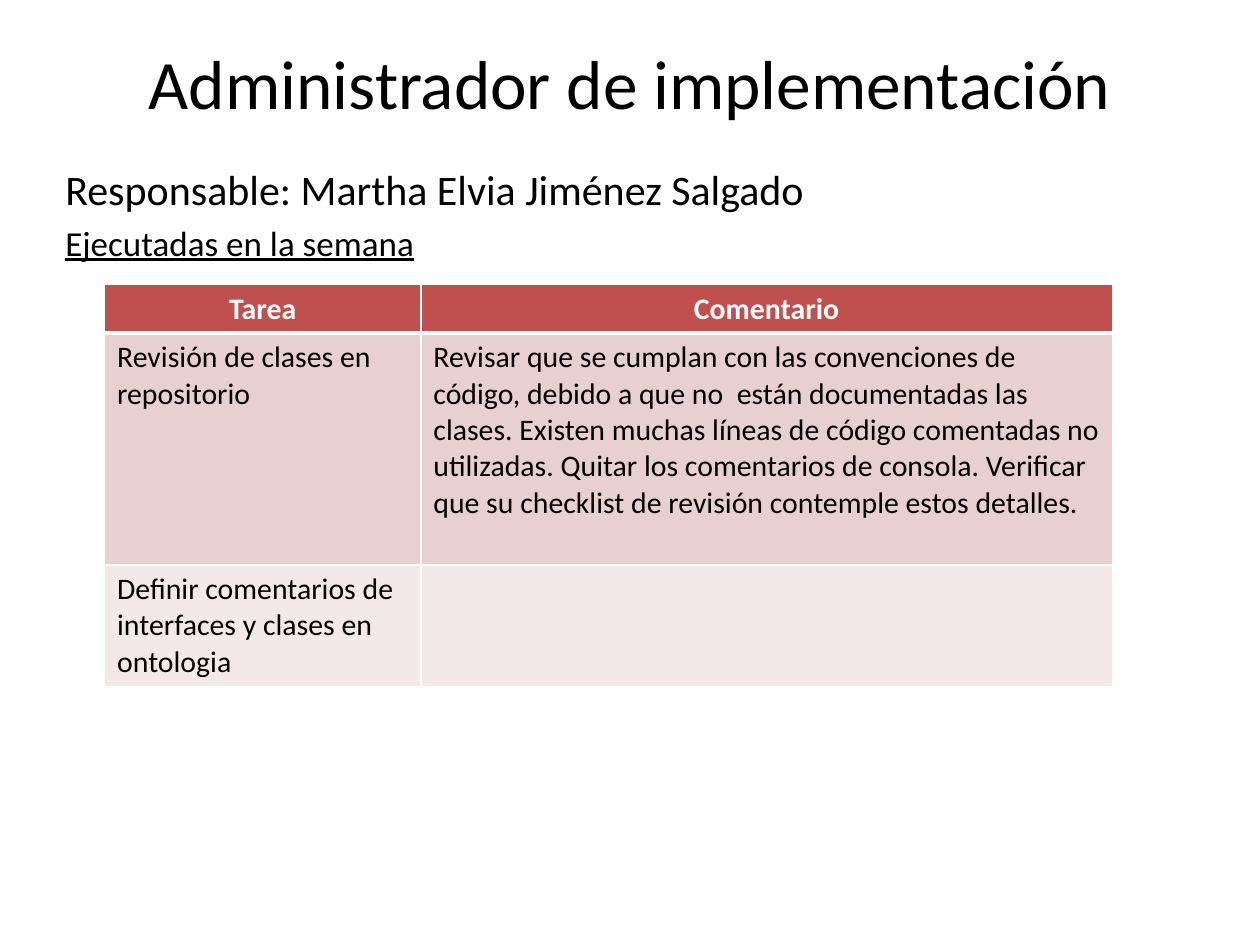
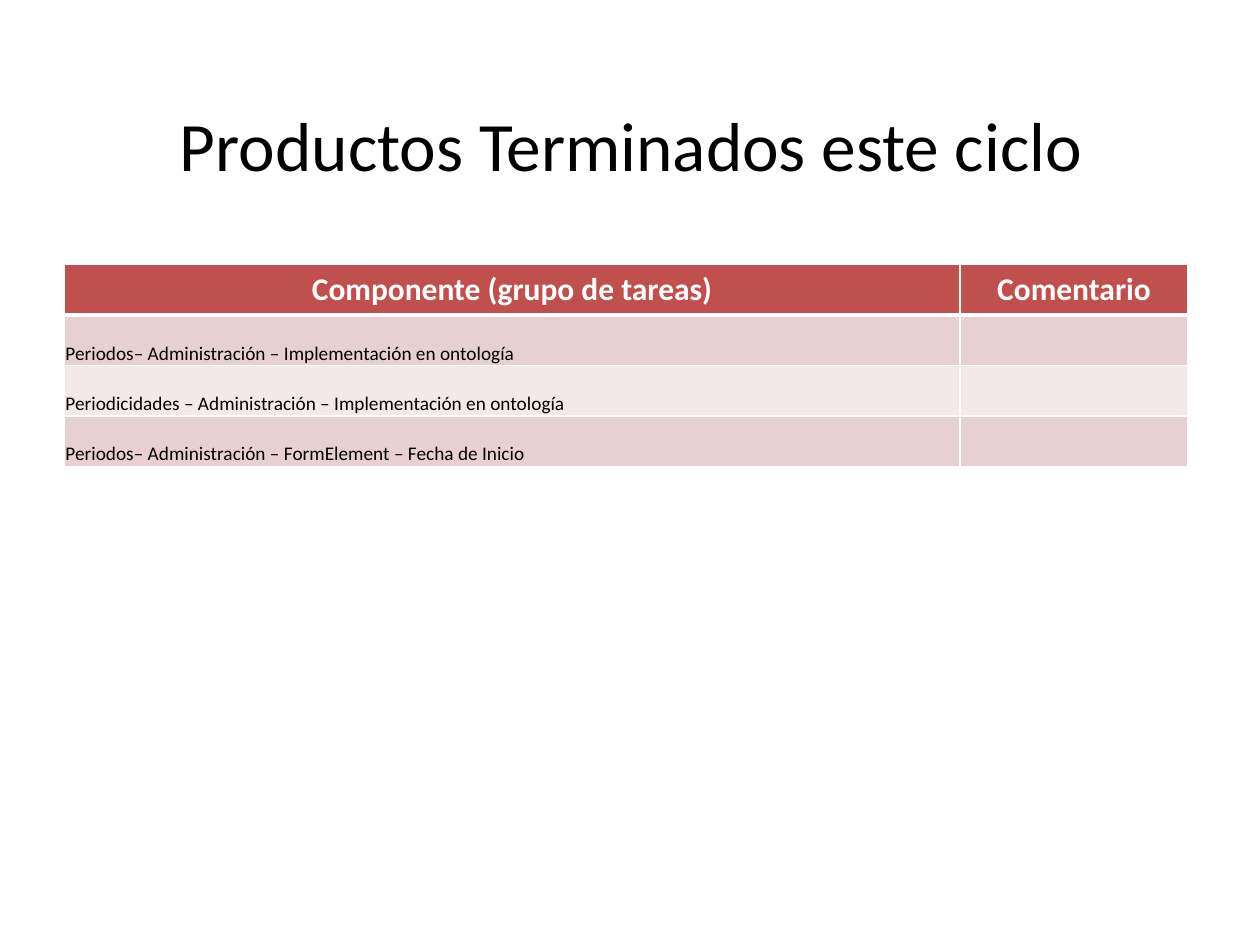
from dataclasses import dataclass

from lxml import etree
from pptx import Presentation
from pptx.dml.color import RGBColor
from pptx.enum.text import MSO_ANCHOR, PP_ALIGN
from pptx.oxml.ns import qn
from pptx.util import Inches, Pt

CENTER, LEFT = PP_ALIGN.CENTER, PP_ALIGN.LEFT
TOP, MIDDLE, BOTTOM = MSO_ANCHOR.TOP, MSO_ANCHOR.MIDDLE, MSO_ANCHOR.BOTTOM


@dataclass(frozen=True)
class Theme:
    font: str = "Calibri"
    text: str = "000000"
    white: str = "FFFFFF"
    header: str = "C0504D"
    bands: tuple[str, str] = ("E8D0D0", "F4E9E9")
    title_size: float = 39.6
    owner_size: float = 24
    section_size: float = 20
    border: float = 1
    header_border: float = 3


@dataclass(frozen=True)
class Box:
    left: float
    top: float
    width: float
    height: float

    def lengths(self) -> list:
        return [Inches(v) for v in (self.left, self.top, self.width, self.height)]


@dataclass(frozen=True)
class TableSpec:
    left: float
    top: float
    col_widths: tuple[float, ...]
    row_heights: tuple[float, ...]
    rows: tuple[tuple[str, ...], ...]
    header_size: float
    body_size: float
    tight_first_column: bool = False


THEME = Theme()

TASKS = TableSpec(
    0.83, 2.26, (2.51, 5.49), (0.38, 1.84, 0.97),
    (
        ("Tarea", "Comentario"),
        ("Revisión de clases en repositorio",
         "Revisar que se cumplan con las convenciones de código, debido a que no  están "
         "documentadas las clases. Existen muchas líneas de código comentadas no utilizadas. "
         "Quitar los comentarios de consola. Verificar que su checklist de revisión "
         "contemple estos detalles."),
        ("Definir comentarios de interfaces y clases en ontologia", ""),
    ),
    header_size=17, body_size=17,
)

PRODUCTS = TableSpec(
    0.51, 2.1, (7.11, 1.81), (0.4,) * 4,
    (
        ("Componente (grupo de tareas)", "Comentario"),
        ("Periodos– Administración – Implementación en ontología", ""),
        ("Periodicidades – Administración – Implementación en ontología", ""),
        ("Periodos– Administración – FormElement – Fecha de Inicio", ""),
    ),
    header_size=18, body_size=11, tight_first_column=True,
)


def style_paragraph(p, size: float, color: str = THEME.text, bold: bool = False,
                    align=LEFT) -> None:
    p.alignment = align
    p.font.name = THEME.font
    p.font.size = Pt(size)
    p.font.bold = bold
    p.font.color.rgb = RGBColor.from_string(color)


def add_text_frame(s, box: Box, anchor=TOP):
    tf = s.shapes.add_textbox(*box.lengths()).text_frame
    tf.word_wrap = True
    tf.vertical_anchor = anchor
    return tf


def add_title(s, text: str, box: Box) -> None:
    p = add_text_frame(s, box, MIDDLE).paragraphs[0]
    p.text = text
    style_paragraph(p, THEME.title_size, align=CENTER)


def add_owner(s, owner: str, section: str, box: Box) -> None:
    tf = add_text_frame(s, box)
    lines = ((owner, THEME.owner_size, False), (section, THEME.section_size, True))
    for i, (text, size, underline) in enumerate(lines):
        p = tf.add_paragraph() if i else tf.paragraphs[0]
        p.text = text
        p.space_before = Pt(size * 0.2)
        style_paragraph(p, size)
        p.font.underline = underline


def set_borders(cell, row: int) -> None:
    tc_pr = cell._tc.get_or_add_tcPr()
    thick_side = {0: "lnB", 1: "lnT"}.get(row)
    for side in ("lnL", "lnR", "lnT", "lnB"):
        width = THEME.header_border if side == thick_side else THEME.border
        ln = etree.SubElement(tc_pr, qn(f"a:{side}"), w=str(Pt(width)))
        fill = etree.SubElement(ln, qn("a:solidFill"))
        etree.SubElement(fill, qn("a:srgbClr"), val=THEME.white)


def fill_cell(cell, text: str, row: int, spec: TableSpec) -> None:
    is_header = row == 0
    set_borders(cell, row)
    color = THEME.header if is_header else THEME.bands[(row - 1) % 2]
    cell.fill.solid()
    cell.fill.fore_color.rgb = RGBColor.from_string(color)
    p = cell.text_frame.paragraphs[0]
    p.text = text
    if is_header:
        style_paragraph(p, spec.header_size, THEME.white, True, CENTER)
    else:
        style_paragraph(p, spec.body_size)


def tighten(cell) -> None:
    cell.vertical_anchor = BOTTOM
    cell.margin_left = cell.margin_top = cell.margin_right = Inches(0.01)
    cell.margin_bottom = 0


def add_styled_table(s, spec: TableSpec) -> None:
    box = Box(spec.left, spec.top, sum(spec.col_widths), sum(spec.row_heights))
    table = s.shapes.add_table(len(spec.rows), len(spec.col_widths), *box.lengths()).table
    for column, width in zip(table.columns, spec.col_widths):
        column.width = Inches(width)
    for row, (height, texts) in enumerate(zip(spec.row_heights, spec.rows)):
        table.rows[row].height = Inches(height)
        for col, text in enumerate(texts):
            cell = table.cell(row, col)
            fill_cell(cell, text, row, spec)
            if spec.tight_first_column and row and col == 0:
                tighten(cell)


def build_tasks_slide(s) -> None:
    add_title(s, "Administrador de implementación", Box(0.5, 0.3, 9, 0.7))
    add_owner(s, "Responsable: Martha Elvia Jiménez Salgado", "Ejecutadas en la semana",
              Box(0.42, 1.25, 9.33, 0.92))
    add_styled_table(s, TASKS)


def build_products_slide(s) -> None:
    add_title(s, "Productos Terminados este ciclo", Box(0.51, 0.76, 9, 0.77))
    add_styled_table(s, PRODUCTS)


def main() -> None:
    prs = Presentation()
    prs.slide_width, prs.slide_height = Inches(10), Inches(7.5)
    blank = prs.slide_layouts[6]
    for build in (build_tasks_slide, build_products_slide):
        build(prs.slides.add_slide(blank))
    prs.save("out.pptx")


if __name__ == "__main__":
    main()
